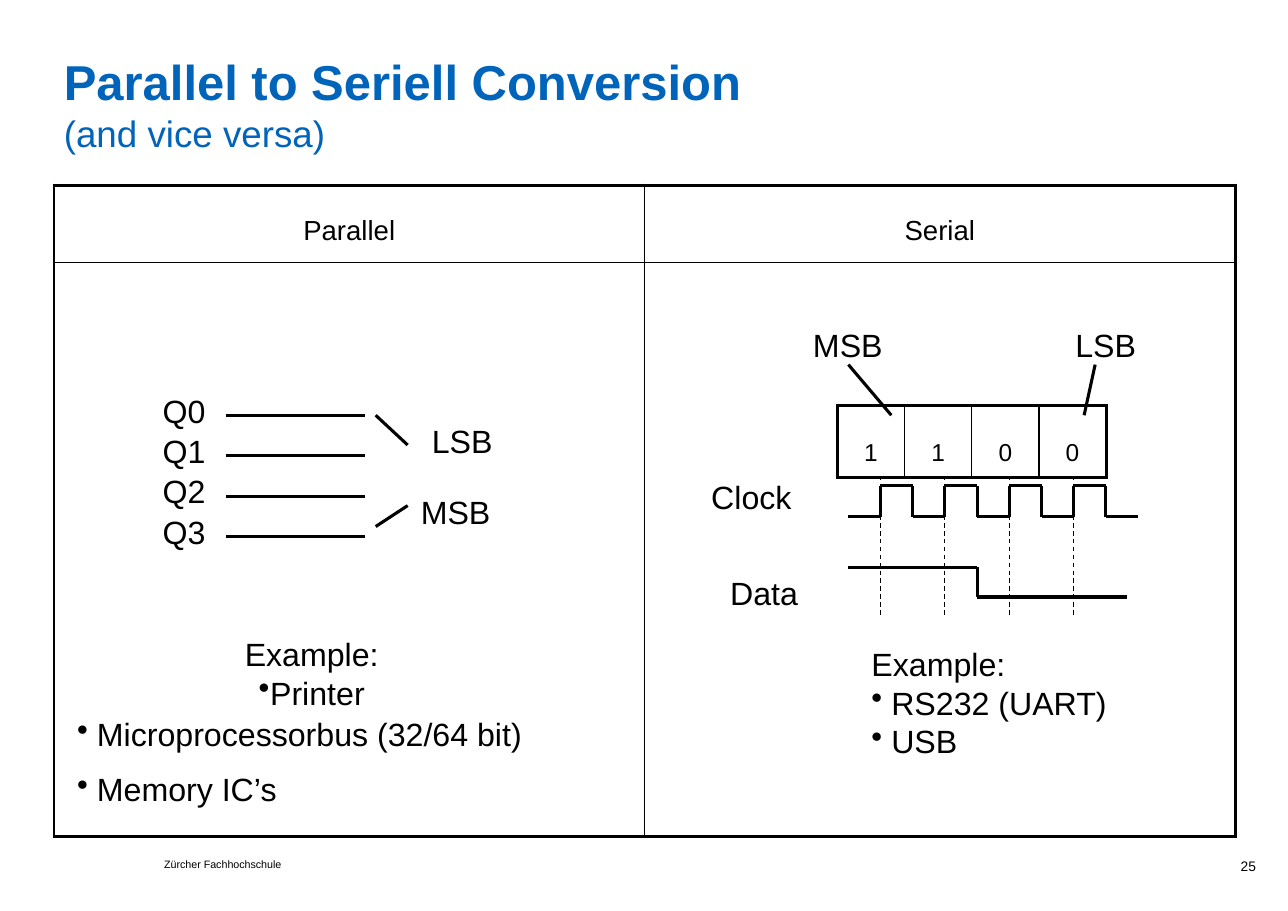
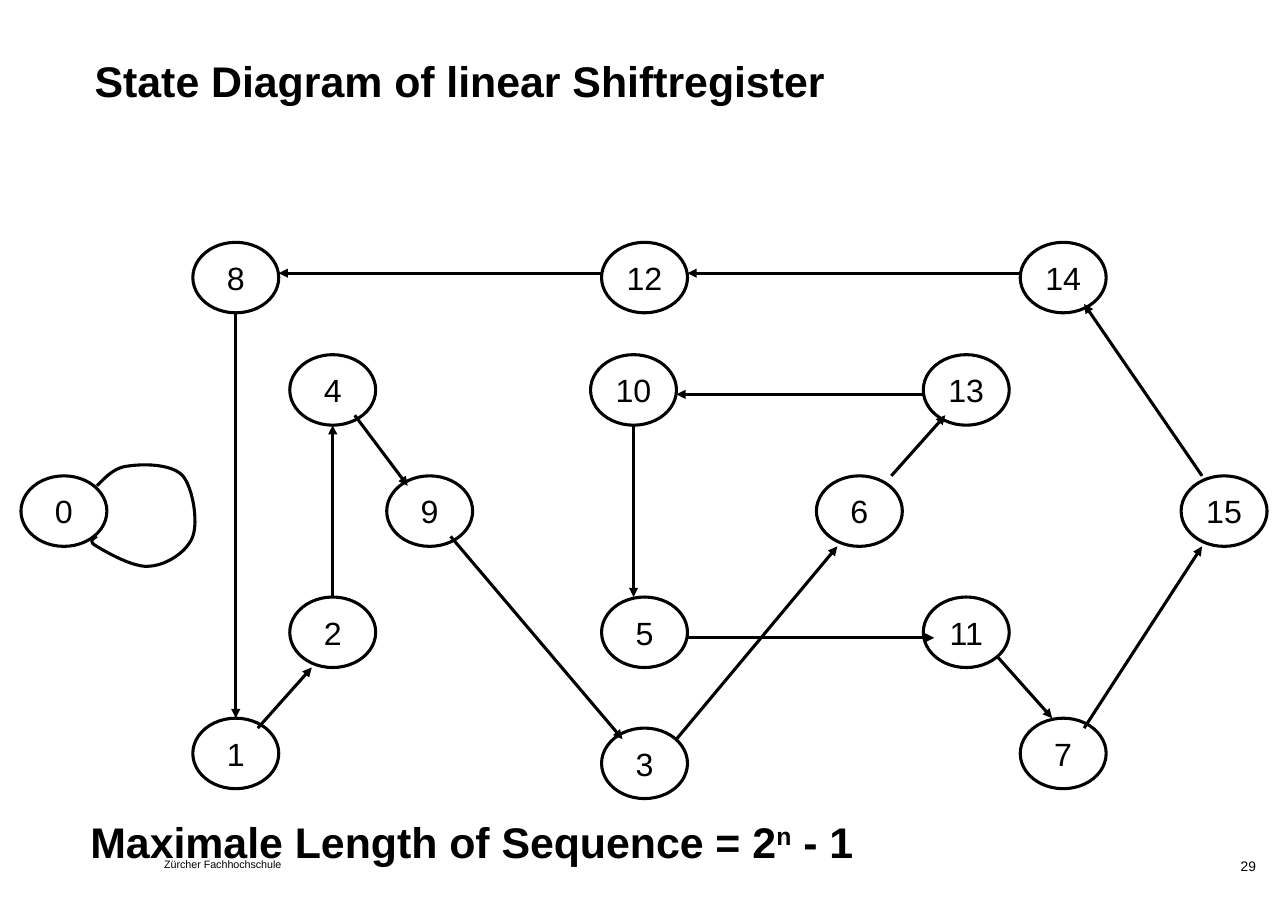
import itertools
from dataclasses import dataclass

import pptx
import pptx.dml.color
import pptx.enum.dml
import pptx.enum.shapes
import pptx.enum.text
import pptx.oxml.ns
import pptx.util
from lxml import etree

Inches = pptx.util.Inches
Pt = pptx.util.Pt
Align = pptx.enum.text.PP_ALIGN
Anchor = pptx.enum.text.MSO_ANCHOR
qn = pptx.oxml.ns.qn

COLORS = {"ink": "000000", "title": "0064BA"}
FONT = "Arial"
LABEL_SIZE = 21
RULE = 2
FRAME, THIN = 2.25, 1
NODE_WIDTH, NODE_HEIGHT = 0.78, 0.64


@dataclass
class Run:
    text: str
    size: float = LABEL_SIZE
    bold: bool = False
    color: str = "ink"
    superscript: bool = False


@dataclass
class Para:
    runs: list[Run]
    align: Align = Align.LEFT
    line_spacing: float = 1.0
    space_before: float = 0
    bullet_indent: float | None = None


@dataclass
class Box:
    left: float
    top: float
    width: float
    height: float


@dataclass
class Node:
    number: int
    left: float
    top: float


@dataclass
class Line:
    start: tuple[float, float]
    end: tuple[float, float]
    width: float = RULE
    dashed: bool = False
    arrow: bool = False


def rgb(name: str):
    return pptx.dml.color.RGBColor.from_string(COLORS[name])


def set_all(target, values: dict) -> None:
    for name, value in values.items():
        setattr(target, name, value)


def write(frame, paras: list[Para]) -> None:
    for index, para in enumerate(paras):
        paragraph = frame.add_paragraph() if index else frame.paragraphs[0]
        if para.bullet_indent is not None:
            properties = paragraph._p.get_or_add_pPr()
            indent = Inches(para.bullet_indent)
            properties.set("marL", str(indent))
            properties.set("indent", str(-indent))
            etree.SubElement(properties, qn("a:buChar")).set("char", "•")
        set_all(paragraph, {"alignment": para.align, "line_spacing": para.line_spacing})
        if para.space_before:
            paragraph.space_before = Pt(para.space_before)
        for piece in para.runs:
            if piece.text == "\n":
                paragraph.add_line_break()
                continue
            run = paragraph.add_run()
            run.text = piece.text
            set_all(run.font, {"name": FONT, "size": Pt(piece.size), "bold": piece.bold})
            run.font.color.rgb = rgb(piece.color)
            if piece.superscript:
                run._r.get_or_add_rPr().set("baseline", "30000")


def set_margins(target, x: float, y: float) -> None:
    set_all(target, {"margin_left": Inches(x), "margin_right": Inches(x),
                     "margin_top": Inches(y), "margin_bottom": Inches(y)})


def add_text(slide, box: Box, paras: list[Para], inset: bool = False,
             wrap: bool = True, anchor: Anchor = Anchor.TOP) -> None:
    frame = slide.shapes.add_textbox(Inches(box.left), Inches(box.top),
                                     Inches(box.width), Inches(box.height)).text_frame
    set_all(frame, {"word_wrap": wrap, "vertical_anchor": anchor})
    set_margins(frame, *((0.11, 0.06) if inset else (0, 0)))
    write(frame, paras)


def add_label(slide, text: str, box: Box) -> None:
    add_text(slide, box, [Para([Run(text)], Align.CENTER)], inset=True, wrap=False)


def add_line(slide, line: Line) -> None:
    connector = slide.shapes.add_connector(
        pptx.enum.shapes.MSO_CONNECTOR.STRAIGHT,
        *(Inches(value) for value in (*line.start, *line.end)))
    connector.line.width = Pt(line.width)
    connector.line.color.rgb = rgb("ink")
    if line.dashed:
        connector.line.dash_style = pptx.enum.dml.MSO_LINE.DASH
    if line.arrow:
        etree.SubElement(connector.line._get_or_add_ln(), qn("a:tailEnd")).set("type", "triangle")
    etree.SubElement(connector._element.spPr, qn("a:effectLst"))


def add_polyline(slide, points: list[tuple[float, float]]) -> None:
    for start, end in itertools.pairwise(points):
        add_line(slide, Line(start, end))


def outline(shape) -> None:
    shape.shadow.inherit = False
    shape.fill.background()
    shape.line.color.rgb = rgb("ink")
    shape.line.width = Pt(RULE)


def add_node(slide, node: Node) -> None:
    ellipse = slide.shapes.add_shape(
        pptx.enum.shapes.MSO_SHAPE.OVAL, Inches(node.left), Inches(node.top),
        Inches(NODE_WIDTH), Inches(NODE_HEIGHT))
    outline(ellipse)
    frame = ellipse.text_frame
    set_all(frame, {"word_wrap": False, "vertical_anchor": Anchor.MIDDLE})
    set_margins(frame, 0, 0)
    write(frame, [Para([Run(str(node.number))], Align.CENTER)])


def add_curve(slide, start: tuple[float, float], segments: list[tuple]) -> None:
    steps = 12
    points = []
    origin = start
    for a, b, end in segments:
        for t in (step / steps for step in range(1, steps + 1)):
            weights = ((1 - t) ** 3, 3 * t * (1 - t) ** 2, 3 * t * t * (1 - t), t ** 3)
            points.append(tuple(Inches(sum(w * p[axis] for w, p in zip(weights, (origin, a, b, end))))
                                for axis in (0, 1)))
        origin = end
    builder = slide.shapes.build_freeform(Inches(start[0]), Inches(start[1]))
    builder.add_line_segments(points, close=False)
    outline(builder.convert_to_shape())


def add_grid(slide, left: float, top: float, widths: list[float], heights: list[float],
             texts: list[list[str]], size: float, spacing: float) -> None:
    table = slide.shapes.add_table(len(heights), len(widths), Inches(left), Inches(top),
                                   Inches(sum(widths)), Inches(sum(heights))).table
    set_all(table, {"first_row": False, "horz_banding": False})
    for column, width in zip(table.columns, widths):
        column.width = Inches(width)
    for row, height in zip(table.rows, heights):
        row.height = Inches(height)
    for r, c in itertools.product(range(len(heights)), range(len(widths))):
        cell = table.cell(r, c)
        set_margins(cell, 0.11, 0.06)
        edges = {"lnL": c == 0, "lnR": c == len(widths) - 1,
                 "lnT": r == 0, "lnB": r == len(heights) - 1}
        properties = cell._tc.get_or_add_tcPr()
        for tag, outer in edges.items():
            border = etree.SubElement(properties, qn(f"a:{tag}"))
            border.set("w", str(Pt(FRAME if outer else THIN)))
            fill = etree.SubElement(border, qn("a:solidFill"))
            etree.SubElement(fill, qn("a:srgbClr")).set("val", COLORS["ink"])
        cell.fill.background()
        if texts[r][c]:
            write(cell.text_frame, [Para([Run(texts[r][c], size)], Align.CENTER, spacing)])


def new_slide(deck, number: int, title_box: Box, title: Para):
    slide = deck.slides.add_slide(deck.slide_layouts[6])
    add_text(slide, Box(1.49, 7.79, 1.32, 0.1), [Para([Run("Zürcher Fachhochschule", 7)])])
    add_text(slide, Box(10.07, 7.79, 1.33, 0.21), [Para([Run(str(number), 9)], Align.RIGHT)])
    add_text(slide, title_box, [title])
    return slide


def build_conversion(deck) -> None:
    slide = new_slide(deck, 25, Box(0.58, 0.47, 11.1, 1.01), Para([
        Run("Parallel to Seriell Conversion", 32, True, "title"), Run("\n"),
        Run("(and vice versa)", 24, False, "title")]))
    add_grid(slide, 0.49, 1.68, [5.36] * 2, [0.7, 5.21],
             [["Parallel", "Serial"], ["", ""]], 18, 1.78)

    for bit in range(4):
        y = 3.77 + bit * 1.1 / 3
        add_line(slide, Line((2.05, y), (3.31, y)))
        add_label(slide, f"Q{bit}", Box(1.36, y - 0.28, 0.62, 0.44))

    add_grid(slide, 7.6, 3.68, [0.61] * 4, [0.56], [["1", "1", "0", "0"]], 16, 2)

    for text, box in [("LSB", Box(3.8, 3.77, 0.79, 0.44)), ("MSB", Box(3.7, 4.41, 0.87, 0.44)),
                      ("Clock", Box(6.34, 4.27, 0.96, 0.47)), ("Data", Box(6.51, 5.15, 0.85, 0.47)),
                      ("MSB", Box(7.26, 2.89, 0.87, 0.44)), ("LSB", Box(9.64, 2.89, 0.79, 0.44))]:
        add_label(slide, text, box)
    for start, end in [((3.41, 3.77), (3.7, 4.04)), ((3.41, 4.78), (3.7, 4.59)),
                       ((7.7, 3.31), (8.09, 3.77)), ((9.94, 3.31), (9.84, 3.77))]:
        add_line(slide, Line(start, end))

    clock_left, clock_right, high, low = 7.7, 10.33, 4.41, 4.69
    half = (clock_right - clock_left) / 9
    clock = [(clock_left, low)]
    for pulse in range(4):
        rise = clock_left + half * (2 * pulse + 1)
        fall = rise + half
        clock += [(rise, low), (rise, high), (fall, high), (fall, low)]
        add_line(slide, Line((rise, 4.32), (rise, 5.6), 0.75, dashed=True))
    add_polyline(slide, clock + [(clock_right, low)])
    add_polyline(slide, [(clock_left, 5.15), (8.87, 5.15), (8.87, 5.42), (10.23, 5.42)])

    add_text(slide, Box(2.1, 5.7, 1.46, 0.82), [
        Para([Run("Example:")], Align.CENTER),
        Para([Run("Printer")], Align.CENTER, bullet_indent=0)], inset=True, wrap=False)
    add_text(slide, Box(7.8, 5.79, 2.5, 1.17), [
        Para([Run("Example:")]),
        Para([Run("RS232 (UART)")], bullet_indent=0.18),
        Para([Run("USB")], bullet_indent=0.18)], inset=True)
    add_text(slide, Box(0.59, 6.43, 5.26, 1), [
        Para([Run("Microprocessorbus (32/64 bit)")], bullet_indent=0.18),
        Para([Run("Memory IC’s")], space_before=10.5, bullet_indent=0.18)], inset=True)


def build_states(deck) -> None:
    slide = new_slide(deck, 29, Box(0.86, 0.43, 9.94, 1.38), Para(
        [Run("State Diagram of linear Shiftregister", 28, True)], line_spacing=1.14))

    rows = {
        2.2: {8: 1.75, 12: 5.46, 14: 9.26},
        3.22: {4: 2.63, 10: 5.36, 13: 8.38},
        4.32: {0: 0.19, 9: 3.51, 6: 7.41, 15: 10.72},
        5.42: {2: 2.63, 5: 5.46, 11: 8.38},
        6.52: {1: 1.75, 7: 9.26},
        6.61: {3: 5.46},
    }
    for top, states in rows.items():
        for number, left in states.items():
            add_node(slide, Node(number, left, top))

    transitions = [
        ((2.14, 2.85), (2.14, 6.52)), ((2.34, 6.61), (2.83, 6.06)),
        ((3.02, 5.42), (3.02, 3.86)), ((3.22, 3.77), (3.7, 4.41)),
        ((4.09, 4.87), (5.65, 6.71)), ((6.14, 6.71), (7.6, 4.96)),
        ((8.09, 4.32), (8.58, 3.77)), ((8.38, 3.58), (6.14, 3.58)),
        ((5.75, 3.86), (5.75, 5.42)), ((6.24, 5.79), (8.48, 5.79)),
        ((9.06, 5.97), (9.55, 6.52)), ((9.84, 6.61), (10.91, 4.96)),
        ((10.91, 4.32), (9.84, 2.76)), ((9.26, 2.48), (6.24, 2.48)),
        ((5.46, 2.48), (2.53, 2.48)),
    ]
    for start, end in transitions:
        add_line(slide, Line(start, end, arrow=True))

    add_curve(slide, (0.88, 4.41), [
        ((0.96, 4.33), (1.04, 4.24), (1.17, 4.23)),
        ((1.3, 4.21), (1.56, 4.21), (1.66, 4.32)),
        ((1.75, 4.43), (1.8, 4.73), (1.75, 4.87)),
        ((1.7, 5.01), (1.51, 5.13), (1.36, 5.14)),
        ((1.22, 5.16), (0.96, 5.01), (0.88, 4.96)),
        ((0.8, 4.92), (0.84, 4.89), (0.88, 4.87))])

    add_text(slide, Box(0.82, 7.42, 7.03, 0.45), [Para([
        Run("Maximale Length of Sequence = 2", 28, True),
        Run("n", 28, True, superscript=True),
        Run(" - 1", 28, True)], line_spacing=1.14)], anchor=Anchor.BOTTOM)


def main() -> None:
    deck = pptx.Presentation()
    set_all(deck, {"slide_width": Inches(11.69), "slide_height": Inches(8.27)})
    build_conversion(deck)
    build_states(deck)
    deck.save("out.pptx")


if __name__ == "__main__":
    main()
